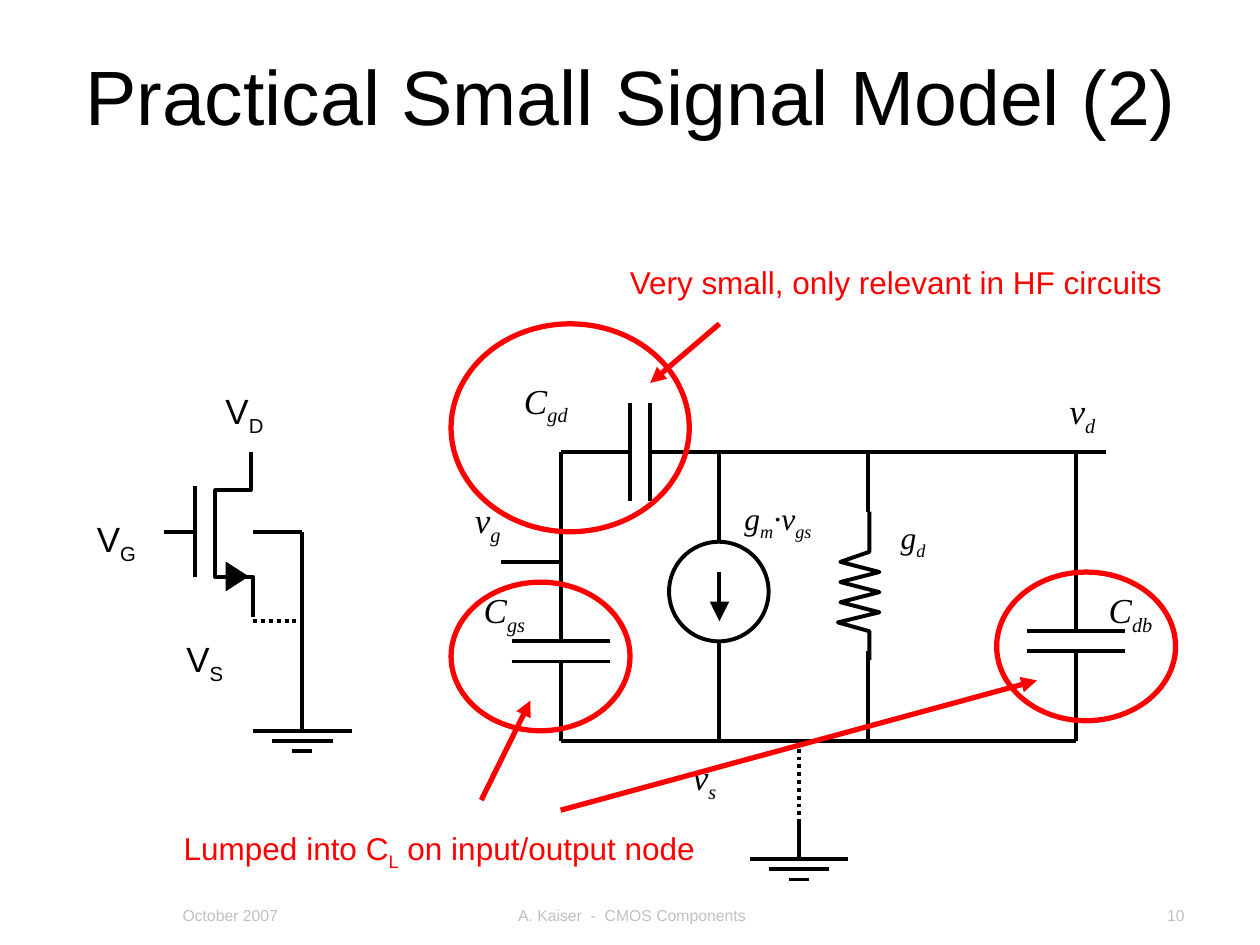
from dataclasses import dataclass

from lxml import etree
from pptx import Presentation
from pptx.dml.color import RGBColor
from pptx.enum.dml import MSO_LINE
from pptx.enum.shapes import MSO_CONNECTOR, MSO_SHAPE
from pptx.enum.text import MSO_ANCHOR, MSO_AUTO_SIZE, PP_ALIGN
from pptx.oxml.ns import qn
from pptx.util import Inches, Pt

LEFT, CENTER, RIGHT = PP_ALIGN.LEFT, PP_ALIGN.CENTER, PP_ALIGN.RIGHT
DOTTED = MSO_LINE.ROUND_DOT
TITLE_ONLY = 5


@dataclass(frozen=True)
class Theme:
    ink: RGBColor = RGBColor(0, 0, 0)
    accent: RGBColor = RGBColor(255, 0, 0)
    muted: RGBColor = RGBColor(192, 192, 192)
    sans: str = "Arial"
    serif: str = "Times New Roman"
    title: int = 44
    node: int = 20
    note: int = 18
    footer: int = 9
    wire: float = 2.25
    mark: float = 3


THEME = Theme()

# Circuit nodes: columns (x) and rails (y)
GATE, SOURCE_COL, LOAD, DRAIN = 4.45, 5.71, 6.89, 8.54
TOP, BOTTOM, GROUND = 3.59, 5.88, 6.34
BULK, CHANNEL = 2.4, 2.01
PLATE, GAP, LEAD = 0.39, 0.08, 0.31  # half plate, half gap, lead end from centre

TITLE = "Practical Small Signal Model (2)"
FOOTERS = [
    ("October 2007", (1.35, 7.14, 1.92, 0.24), LEFT),
    ("A. Kaiser  -  CMOS Components", (3.43, 7.14, 3.17, 0.24), CENTER),
    ("10", (7.17, 7.14, 2.33, 0.22), RIGHT),
]
# Label parts alternate between normal text and subscript
TERMINALS = [
    (("V", "G"), (0.67, 4.06, 0.55, 0.48)),
    (("V", "D"), (1.69, 3.04, 0.55, 0.48)),
    (("V", "S"), (1.38, 5.01, 0.55, 0.48)),
]
CAPACITANCES_AND_VOLTAGES = [
    (("v", "g"), (3.67, 3.91, 0.5, 0.48)),
    (("v", "d"), (8.39, 3.04, 0.5, 0.48)),
    (("v", "s"), (5.4, 5.95, 0.5, 0.48)),
    (("C", "gs"), (3.74, 4.62, 0.6, 0.48)),
    (("C", "gd"), (4.06, 2.96, 0.79, 0.48)),
    (("C", "db"), (8.7, 4.62, 0.79, 0.48)),
]
CONDUCTANCES = [
    (("g", "m", "·v", "gs"), (5.81, 3.91, 0.85, 0.44)),
    (("g", "d"), (7.05, 4.06, 0.5, 0.44)),
]
NOTES = [
    (("Very small, only relevant in HF circuits",), (4.9, 2.04, 4.55, 0.4)),
    (("Lumped into C", "L", " on input/output node"), (1.36, 6.53, 4.4, 0.44)),
]
WIRES = [
    # transistor
    (1.55, 3.86, 1.55, 4.58), (1.3, 4.22, 1.53, 4.22),
    (CHANNEL, 4.22, BULK, 4.22), (BULK, 4.22, BULK, 5.56),
    # rails and gate input
    (GATE, TOP, 4.77, TOP), (5.39, TOP, 8.78, TOP),
    (DRAIN, BOTTOM, GATE, BOTTOM), (GATE, 4.46, 3.98, 4.46),
    # branches
    (GATE, TOP, GATE, 4.86), (GATE, 5.48, GATE, BOTTOM),
    (SOURCE_COL, TOP, SOURCE_COL, 4.3), (SOURCE_COL, 5.09, SOURCE_COL, BOTTOM),
    (LOAD, TOP, LOAD, 4.06), (LOAD, 5.17, LOAD, BOTTOM),
    (DRAIN, TOP, DRAIN, 4.78), (DRAIN, 5.4, DRAIN, BOTTOM),
]
DOTTED_WIRES = [(GROUND, BOTTOM, GROUND, 6.51), (CHANNEL, 4.93, BULK, 4.93)]
CAPACITORS = [(GATE, 5.17, False), (5.08, TOP, True), (DRAIN, 5.09, False)]
GROUNDS = [(BULK, 5.8), (GROUND, 6.82)]
TRANSISTOR = [(1.99, 3.59), (1.99, 3.89), (1.71, 3.89),
              (1.71, 4.58), (2.01, 4.58), (2.01, 4.9)]
ZIGZAG = [(6.67 if i % 2 == 0 else 6.98, 4.46 + 0.08 * i) for i in range(6)]
RESISTOR = [(6.9, 4.06), (6.9, 4.38), *ZIGZAG, (6.65, 4.94), (6.9, 5.01), (6.9, 5.24)]
RINGS = [(3.58, 2.57, 1.89, 1.65), (3.58, 4.62, 1.42, 1.18), (7.91, 4.54, 1.42, 1.18)]
POINTERS = [(5.71, 2.57, 5.16, 3.04), (3.82, 6.35, 4.21, 5.56), (4.45, 6.43, 8.23, 5.4)]

prs = Presentation()
prs.slide_width, prs.slide_height = Inches(10), Inches(7.5)
slide = prs.slides.add_slide(prs.slide_layouts[TITLE_ONLY])
shapes = slide.shapes


def inches(values):
    return [Inches(value) for value in values]


def style_font(font, size, color, name, italic=False):
    font.size, font.name, font.italic = Pt(size), name, italic
    font.color.rgb = color


def add_label(parts, box, size, color, name, italic=False, align=LEFT):
    frame = shapes.add_textbox(*inches(box)).text_frame
    frame.word_wrap = True
    paragraph = frame.paragraphs[0]
    paragraph.alignment = align
    for i, part in enumerate(parts):
        run = paragraph.add_run()
        run.text = part
        style_font(run.font, size, color, name, italic)
        if i % 2:
            run._r.get_or_add_rPr().set("baseline", "-25000")


def add_wire(ends, color=THEME.ink, width=THEME.wire, dash=None, head=None):
    wire = shapes.add_connector(MSO_CONNECTOR.STRAIGHT, *inches(ends))
    wire.line.color.rgb, wire.line.width = color, Pt(width)
    if dash:
        wire.line.dash_style = dash
    if head:
        etree.SubElement(wire.line._get_or_add_ln(), qn("a:tailEnd"),
                         type="triangle", w=head, len=head)
    etree.SubElement(wire._element.spPr, qn("a:effectLst"))


def outline(shape, color=THEME.ink, width=THEME.wire):
    shape.shadow.inherit = False
    shape.fill.background()
    shape.line.color.rgb, shape.line.width = color, Pt(width)


def add_polyline(points):
    first, *rest = [tuple(inches(point)) for point in points]
    builder = shapes.build_freeform(*first)
    builder.add_line_segments(rest, close=False)
    outline(builder.convert_to_shape())


def add_capacitor(x, y, sideways):
    """Draw two plates and their leads; sideways puts the leads along the x axis."""
    for side in (-1, 1):
        plate, end = side * GAP, side * LEAD
        if sideways:
            add_wire((x + plate, y - PLATE, x + plate, y + PLATE))
            add_wire((x + plate, y, x + end, y))
        else:
            add_wire((x - PLATE, y + plate, x + PLATE, y + plate))
            add_wire((x, y + plate, x, y + end))


def add_ground(x, y):
    add_wire((x, y - 0.32, x, y))
    for row, half in enumerate((0.39, 0.24, 0.08)):
        add_wire((x - half, y + 0.08 * row, x + half, y + 0.08 * row))


heading = shapes.title
heading.left, heading.top, heading.width, heading.height = inches((0.51, 0.13, 9, 1.25))
heading.text_frame.text = TITLE
heading.text_frame.auto_size = MSO_AUTO_SIZE.NONE
heading.text_frame.vertical_anchor = MSO_ANCHOR.MIDDLE
heading.text_frame.paragraphs[0].alignment = CENTER
style_font(heading.text_frame.paragraphs[0].runs[0].font, THEME.title, THEME.ink, THEME.sans)

for text, box, align in FOOTERS:
    add_label((text,), box, THEME.footer, THEME.muted, THEME.sans, align=align)

for ends in WIRES:
    add_wire(ends)
for ends in DOTTED_WIRES:
    add_wire(ends, dash=DOTTED)
for capacitor in CAPACITORS:
    add_capacitor(*capacitor)
for ground in GROUNDS:
    add_ground(*ground)
for points in (TRANSISTOR, RESISTOR):
    add_polyline(points)

source_arrow = shapes.add_shape(MSO_SHAPE.ISOSCELES_TRIANGLE, *inches((1.77, 4.49, 0.22, 0.17)))
outline(source_arrow, width=0.75)
source_arrow.fill.solid()
source_arrow.fill.fore_color.rgb = THEME.ink
source_arrow.rotation = 90

outline(shapes.add_shape(MSO_SHAPE.OVAL, *inches((5.31, 4.3, 0.79, 0.79))))
add_wire((SOURCE_COL, 4.54, SOURCE_COL, 4.93), head="lg")

for parts, box in TERMINALS:
    add_label(parts, box, THEME.node, THEME.ink, THEME.sans)
for parts, box in CAPACITANCES_AND_VOLTAGES:
    add_label(parts, box, THEME.node, THEME.ink, THEME.serif, italic=True)
for parts, box in CONDUCTANCES:
    add_label(parts, box, THEME.note, THEME.ink, THEME.serif, italic=True)

for ring in RINGS:
    outline(shapes.add_shape(MSO_SHAPE.OVAL, *inches(ring)), THEME.accent, THEME.mark)
for ends in POINTERS:
    add_wire(ends, THEME.accent, THEME.mark, head="med")
for parts, box in NOTES:
    add_label(parts, box, THEME.note, THEME.accent, THEME.sans)

prs.save("out.pptx")
